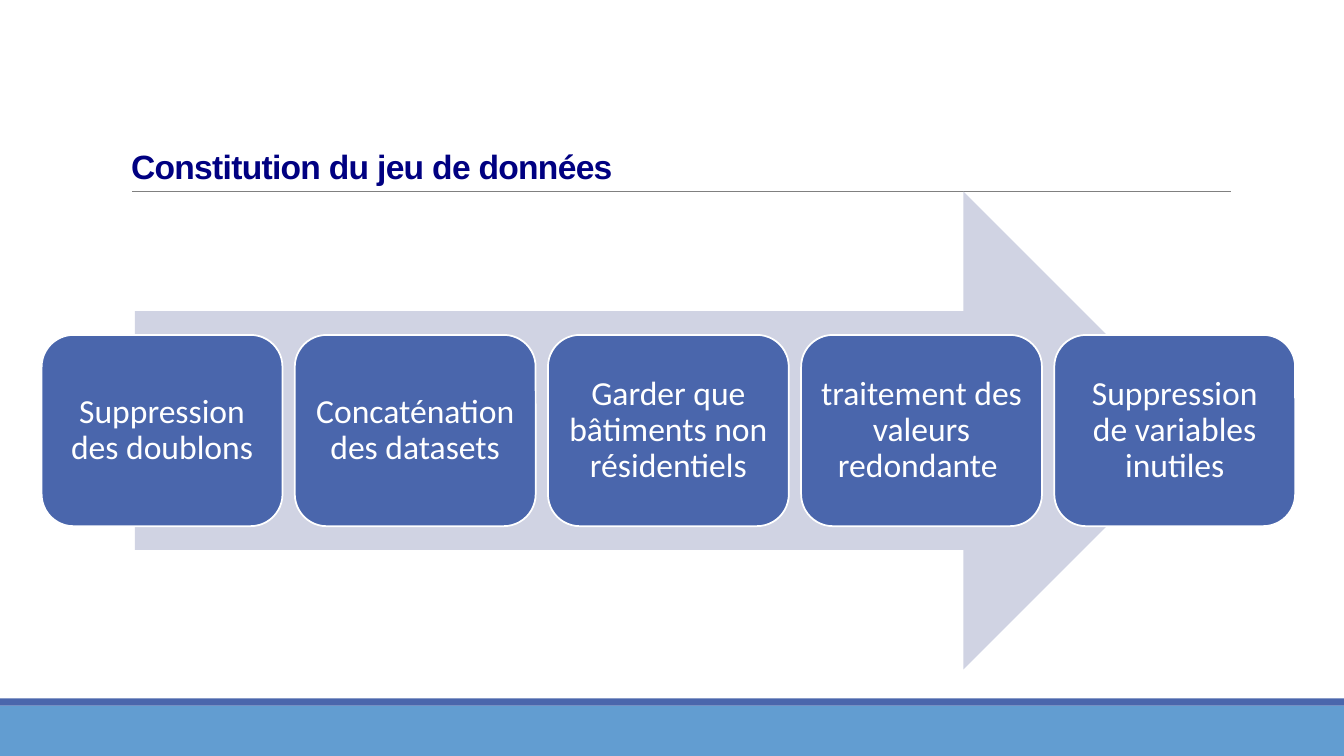
import pptx
import pptx.dml.color
import pptx.enum.shapes
import pptx.enum.text
import pptx.oxml.ns
import pptx.util
from lxml import etree

Cm, Pt = pptx.util.Cm, pptx.util.Pt
SHAPE = pptx.enum.shapes.MSO_SHAPE
ALIGN = pptx.enum.text.PP_ALIGN
ANCHOR = pptx.enum.text.MSO_ANCHOR

COLORS = {
    "navy": "000081",
    "blue": "4A66AC",
    "sky": "629DD1",
    "pale": "D0D3E3",
    "grey": "808080",
    "white": "FFFFFF",
}
STEPS = [
    "Suppression des doublons",
    "Concaténation des datasets",
    "Garder que bâtiments non résidentiels",
    "traitement des valeurs redondante ",
    "Suppression de variables inutiles",
]
SLIDE_W, SLIDE_H = 33.87, 19.05
STEP_LEFT, STEP_TOP, STEP_W, STEP_H = 1.05, 8.44, 6.07, 4.82
STEP_PITCH = 6.38


def rgb(name):
    return pptx.dml.color.RGBColor.from_string(COLORS[name])


def set_text(tf, text, font="Calibri", size=24, color="white", bold=False,
             align=ALIGN.CENTER, anchor=ANCHOR.MIDDLE, line_spacing=0.9,
             tracking=None):
    """Fill a text frame with one formatted paragraph; tracking is in points."""
    tf.word_wrap = True
    tf.auto_size = pptx.enum.text.MSO_AUTO_SIZE.NONE
    tf.vertical_anchor = anchor
    p = tf.paragraphs[0]
    p.alignment = align
    p.line_spacing = line_spacing
    r = p.add_run()
    r.text = text
    r.font.name = font
    r.font.size = Pt(size)
    r.font.bold = bold
    r.font.color.rgb = rgb(color)
    if tracking is not None:
        r.font._element.set("spc", str(round(tracking * 100)))


def add_block(s, kind, left, top, width, height, fill, line=None):
    sp = s.shapes.add_shape(kind, Cm(left), Cm(top), Cm(width), Cm(height))
    sp.shadow.inherit = False
    sp.fill.solid()
    sp.fill.fore_color.rgb = rgb(fill)
    if line:
        sp.line.color.rgb = rgb(line)
        sp.line.width = Pt(1.25)
    else:
        sp.line.fill.background()
    return sp


def add_rule(s, left, right, y):
    line = s.shapes.add_connector(pptx.enum.shapes.MSO_CONNECTOR.STRAIGHT,
                                  Cm(left), Cm(y), Cm(right), Cm(y))
    line.line.color.rgb = rgb("grey")
    line.line.width = Pt(0.5)
    etree.SubElement(line._element.spPr, pptx.oxml.ns.qn("a:effectLst"))


def add_title(s, text):
    title = s.shapes.title
    title.left, title.top = Cm(3.05), Cm(0.79)
    title.width, title.height = Cm(27.94), Cm(4.04)
    set_text(title.text_frame, text, font="Arial", color="navy", bold=True,
             align=ALIGN.LEFT, anchor=ANCHOR.BOTTOM, line_spacing=0.85,
             tracking=-0.5)


def add_step(s, index, text):
    sp = add_block(s, SHAPE.ROUNDED_RECTANGLE, STEP_LEFT + index * STEP_PITCH,
                   STEP_TOP, STEP_W, STEP_H, "blue", line="white")
    tf = sp.text_frame
    tf.margin_left = tf.margin_right = Cm(0.25)
    tf.margin_top = tf.margin_bottom = Cm(0.25)
    set_text(tf, text)


def main():
    prs = pptx.Presentation()
    prs.slide_width, prs.slide_height = Cm(SLIDE_W), Cm(SLIDE_H)
    s = prs.slides.add_slide(prs.slide_layouts.get_by_name("Title Only"))

    add_block(s, SHAPE.RECTANGLE, 0, 17.78, SLIDE_W, 1.27, "sky")
    add_block(s, SHAPE.RECTANGLE, 0, 17.6, SLIDE_W, 0.18, "blue")
    add_rule(s, 3.33, 31.01, 4.83)
    add_title(s, "Constitution du jeu de données")

    add_block(s, SHAPE.RIGHT_ARROW, 3.4, 4.83, 26.9, 12.04, "pale")
    for index, text in enumerate(STEPS):
        add_step(s, index, text)

    prs.save("out.pptx")


if __name__ == "__main__":
    main()
